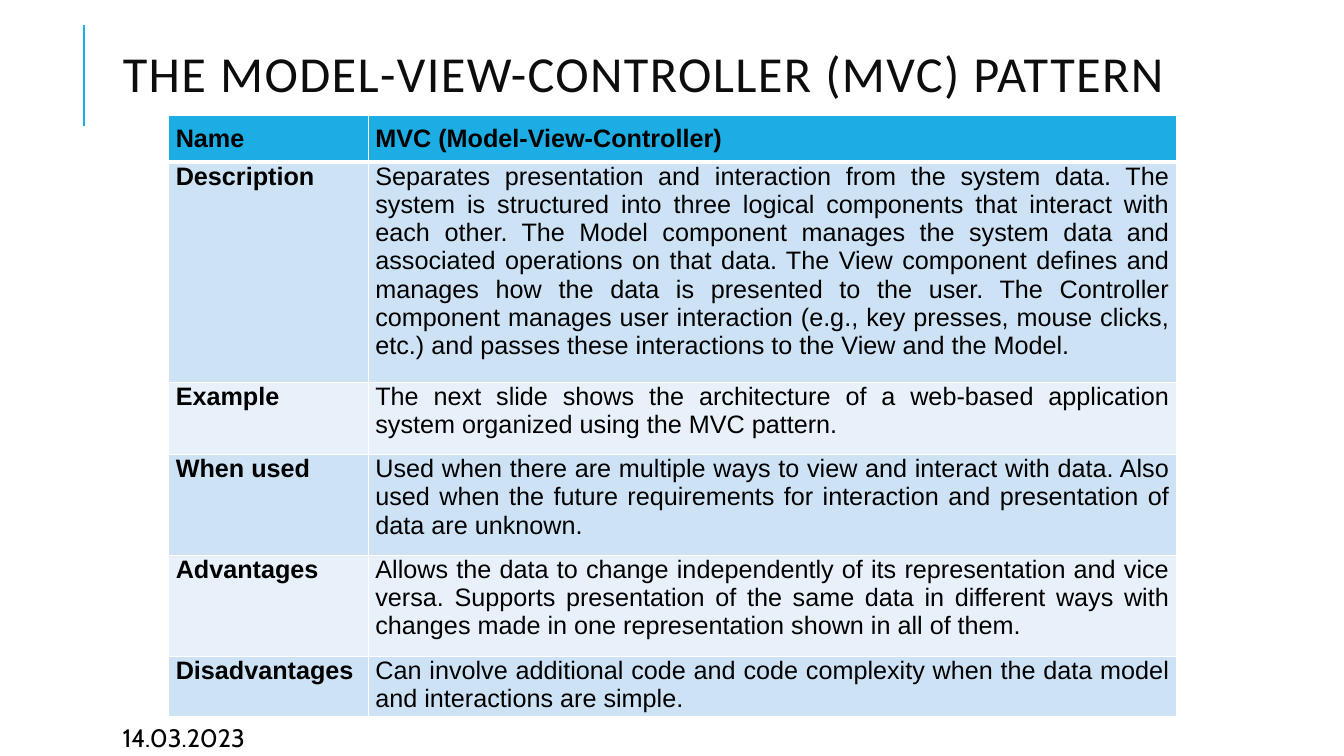
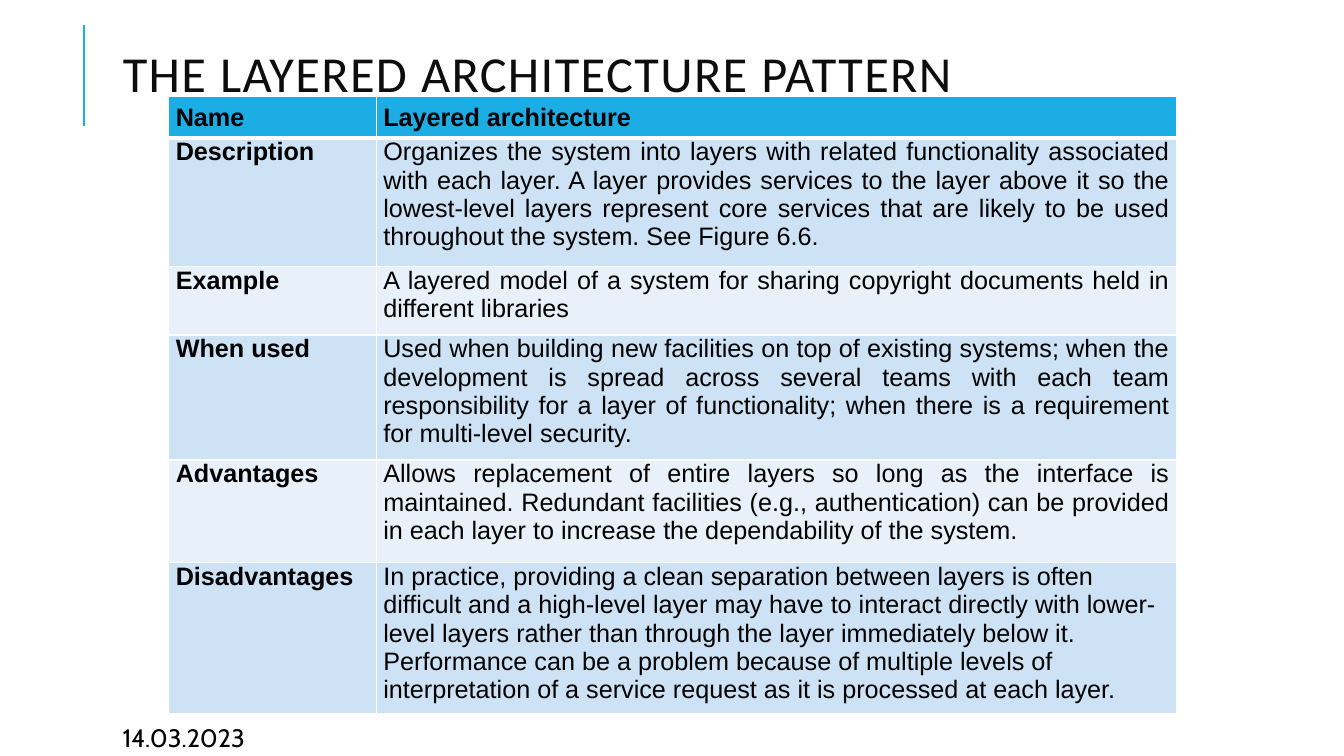
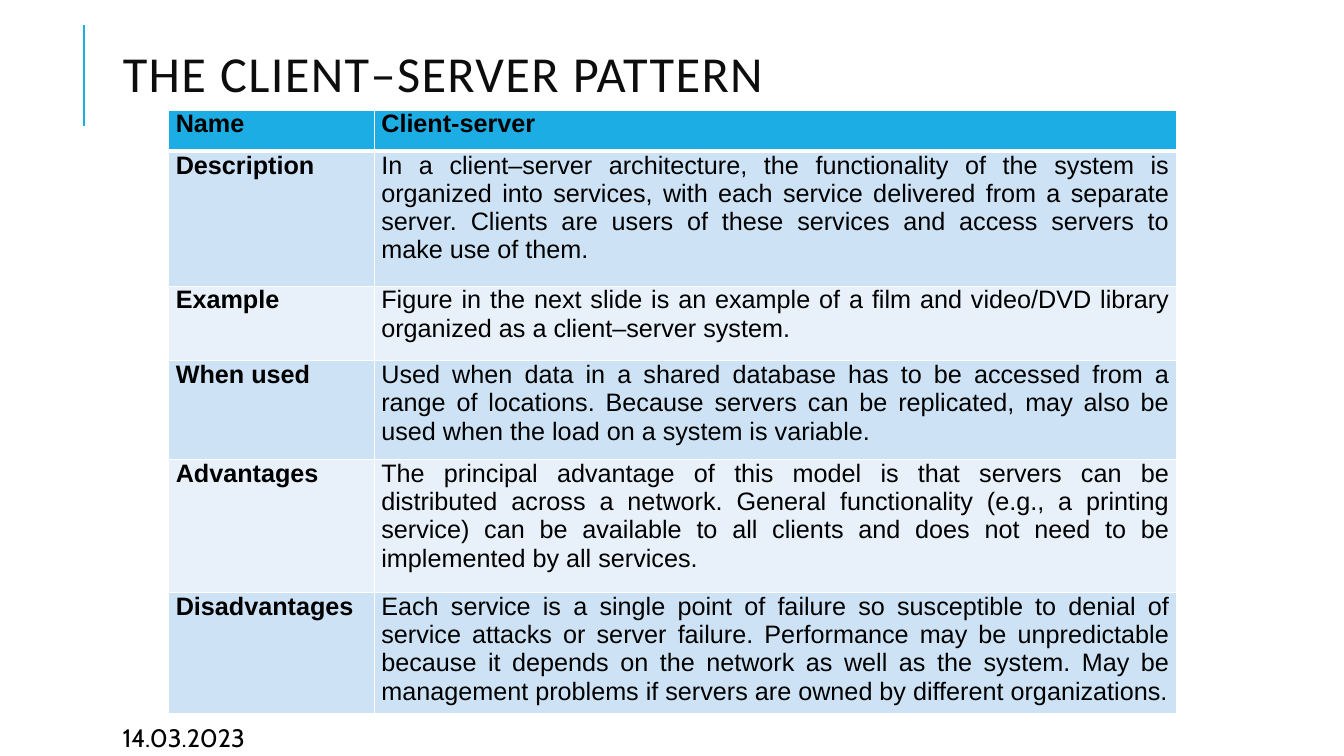
"""Build three slides that describe architecture patterns in tables."""
from lxml import etree
from pptx import Presentation
from pptx.dml.color import RGBColor
from pptx.enum.shapes import MSO_CONNECTOR
from pptx.enum.text import MSO_ANCHOR, MSO_AUTO_SIZE, PP_ALIGN
from pptx.oxml.ns import qn
from pptx.util import Cm, Pt

BLUE = RGBColor(0x1C, 0xAD, 0xE4)
MID = RGBColor(0xCD, 0xE3, 0xF5)
PALE = RGBColor(0xE8, 0xF1, 0xFA)
INK = RGBColor(0x0D, 0x0D, 0x0D)
BLACK = RGBColor(0, 0, 0)
WHITE = RGBColor(0xFF, 0xFF, 0xFF)

LEFT, JUST = PP_ALIGN.LEFT, PP_ALIGN.JUSTIFY
TOP, MIDDLE = MSO_ANCHOR.TOP, MSO_ANCHOR.MIDDLE
STRAIGHT = MSO_CONNECTOR.STRAIGHT
NO_FIT = MSO_AUTO_SIZE.NONE

TITLE_BOX = (2.84, 0.28, 29.97, 3.38)
DATE_BOX = (2.84, 18.08, 5.99, 0.76)
TABLE_LEFT, TABLE_WIDTH = 4.25, 25.4
RULE = (2.12, 3.18, 2.12, 0.64)
LABELS = ("Name", "Description", "Example", "When used", "Advantages",
          "Disadvantages")

SLIDES = (
    dict(
        title="THE MODEL-VIEW-CONTROLLER (MVC) PATTERN",
        top=2.92, split=5.03,
        rows=(1.17, 5.54, 1.83, 2.54, 2.54, 1.42),
        texts=(
            "MVC (Model-View-Controller)",
            "Separates presentation and interaction from the system data. "
            "The system is structured into three logical components that "
            "interact with each other. The Model component manages the "
            "system data and associated operations on that data. The View "
            "component defines and manages how the data is presented to the "
            "user. The Controller component manages user interaction (e.g., "
            "key presses, mouse clicks, etc.) and passes these interactions "
            "to the View and the Model.",
            "The next slide shows the architecture of a web-based "
            "application system organized using the MVC pattern.",
            "Used when there are multiple ways to view and interact with "
            "data. Also used when the future requirements for interaction "
            "and presentation of data are unknown.",
            "Allows the data to change independently of its representation "
            "and vice versa. Supports presentation of the same data in "
            "different ways with changes made in one representation shown "
            "in all of them.",
            "Can involve additional code and code complexity when the data "
            "model and interactions are simple.")),
    dict(
        title="THE LAYERED ARCHITECTURE PATTERN",
        top=2.44, split=5.23, last=LEFT,
        rows=(1.04, 3.23, 1.73, 3.15, 2.59, 3.56),
        texts=(
            "Layered architecture",
            "Organizes the system into layers with related functionality "
            "associated with each layer. A layer provides services to the "
            "layer above it so the lowest-level layers represent core "
            "services that are likely to be used throughout the system. See "
            "Figure 6.6.",
            "A layered model of a system for sharing copyright documents "
            "held in different libraries",
            "Used when building new facilities on top of existing systems; "
            "when the development is spread across several teams with each "
            "team responsibility for a layer of functionality; when there "
            "is a requirement for multi-level security.",
            "Allows replacement of entire layers so long as the interface "
            "is maintained. Redundant facilities (e.g., authentication) can "
            "be provided in each layer to increase the dependability of the "
            "system.",
            "In practice, providing a clean separation between layers is "
            "often difficult and a high-level layer may have to interact "
            "directly with lower-level layers rather than through the layer "
            "immediately below it. Performance can be a problem because of "
            "multiple levels of interpretation of a service request as it "
            "is processed at each layer.")),
    dict(
        title="THE CLIENT–SERVER PATTERN",
        top=2.77, split=5.18, head=TOP,
        rows=(1.04, 3.4, 1.88, 2.49, 3.35, 2.84),
        texts=(
            "Client-server",
            "In a client–server architecture, the functionality of the "
            "system is organized into services, with each service delivered "
            "from a separate server. Clients are users of these services "
            "and access servers to make use of them.",
            "Figure in the next slide is an example of a film and video/DVD "
            "library organized as a client–server system.",
            "Used when data in a shared database has to be accessed from a "
            "range of locations. Because servers can be replicated, may "
            "also be used when the load on a system is variable.",
            "The principal advantage of this model is that servers can be "
            "distributed across a network. General functionality (e.g., a "
            "printing service) can be available to all clients and does not "
            "need to be implemented by all services.",
            "Each service is a single point of failure so susceptible to "
            "denial of service attacks or server failure. Performance may "
            "be unpredictable because it depends on the network as well as "
            "the system. May be management problems if servers are owned by "
            "different organizations.")),
)


def write(frame, text, font="Arial", size=18, color=BLACK, bold=False,
          align=LEFT, space=None, track=None):
    """Write one formatted paragraph into a text frame."""
    para = frame.paragraphs[0]
    para.alignment = align
    if space:
        para.line_spacing = space
    run = para.add_run()
    run.text = text
    run.font.name = font
    run.font.size = Pt(size)
    run.font.bold = bold
    run.font.color.rgb = color
    if track:
        run.font._element.set("spc", str(track * 100))


def edge(cell, **widths):
    """Draw white borders of the given point widths on a cell."""
    props = cell._tc.get_or_add_tcPr()
    for side in "LRTB":
        line = etree.SubElement(props, qn("a:ln" + side),
                                w=str(Pt(widths.get(side, 1))))
        fill = etree.SubElement(line, qn("a:solidFill"))
        etree.SubElement(fill, qn("a:srgbClr"), val=str(WHITE))


def add_frame(slide, title):
    """Place the rule, title and date that all slides share."""
    rule = slide.shapes.add_connector(STRAIGHT, *map(Cm, RULE))
    rule.line.color.rgb = BLUE
    rule.line.width = Pt(1.5)
    etree.SubElement(rule._element.spPr, qn("a:effectLst"))

    head = slide.shapes.title
    head.left, head.top, head.width, head.height = map(Cm, TITLE_BOX)
    head.text_frame.auto_size = NO_FIT
    head.text_frame.vertical_anchor = MIDDLE
    write(head.text_frame, title, font="Calibri", size=36, color=INK,
          space=0.8, track=1)

    date = slide.shapes.add_textbox(*map(Cm, DATE_BOX)).text_frame
    date.word_wrap = True
    write(date, "14.03.2023", font="Cabin")


def add_grid(slide, box, split, rows, texts, head=MIDDLE, last=JUST):
    """Fill the box with a table of labels and texts."""
    grid = slide.shapes.add_table(len(rows), 2, *map(Cm, box)).table
    grid.columns[0].width = Cm(split)
    grid.columns[1].width = Cm(box[2] - split)
    for row, (height, pair) in enumerate(zip(rows, zip(LABELS, texts))):
        grid.rows[row].height = Cm(height)
        for col, text in enumerate(pair):
            cell = grid.cell(row, col)
            cell.margin_left = cell.margin_right = Cm(0.18)
            cell.margin_top = cell.margin_bottom = 0
            cell.vertical_anchor = TOP if row else head
            edge(cell, T=3 if row == 1 else 1, B=1 if row else 3)
            cell.fill.solid()
            cell.fill.fore_color.rgb = (
                BLUE if row == 0 else MID if row % 2 else PALE)
            final = row == len(rows) - 1 and col == 1
            write(cell.text_frame, text, bold=row == 0 or col == 0,
                  align=last if final else JUST)


def add_slide(deck, title, top, rows, **grid):
    """Add one pattern slide with its frame and table."""
    slide = deck.slides.add_slide(deck.slide_layouts[5])
    add_frame(slide, title)
    box = (TABLE_LEFT, top, TABLE_WIDTH, sum(rows))
    add_grid(slide, box, rows=rows, **grid)


def main():
    """Build and save the deck."""
    deck = Presentation()
    deck.slide_width, deck.slide_height = Cm(33.87), Cm(19.05)
    for data in SLIDES:
        add_slide(deck, **data)
    deck.save("out.pptx")


if __name__ == "__main__":
    main()
